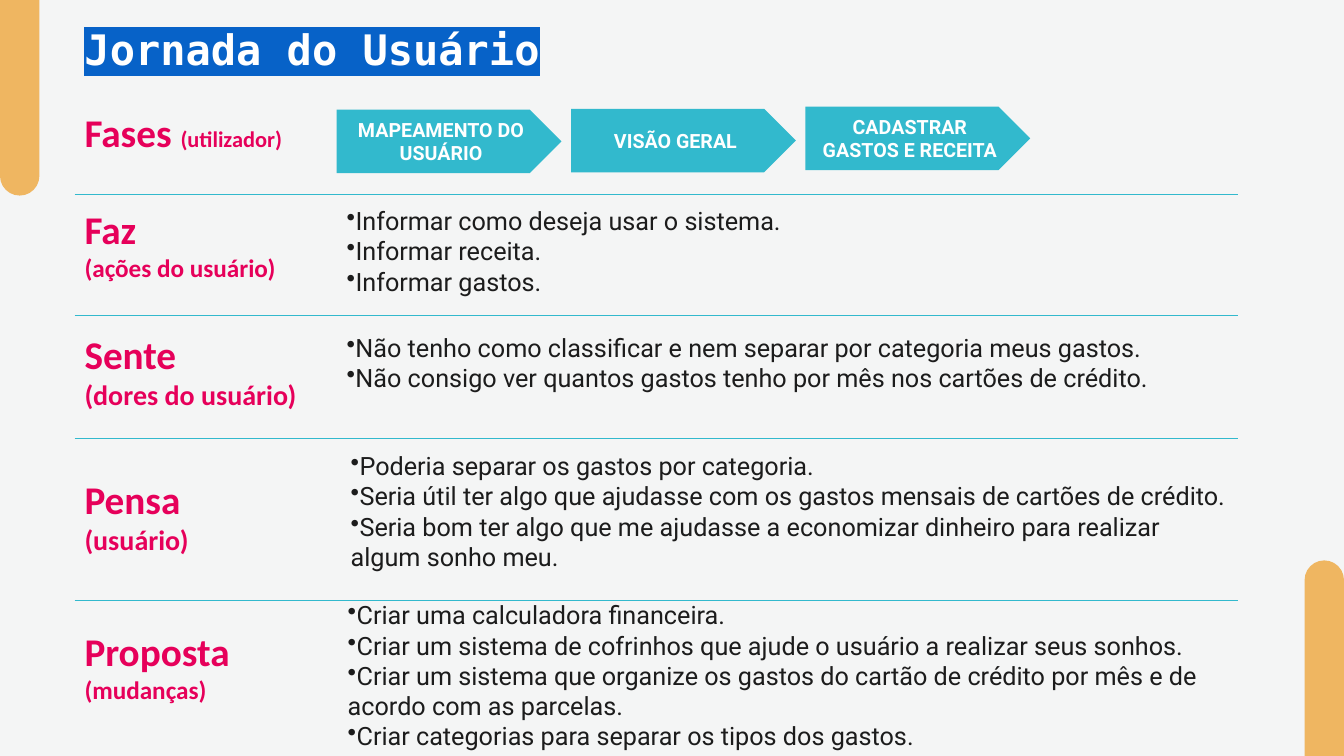
import pptx
import pptx.dml.color
import pptx.enum.shapes
import pptx.enum.text
import pptx.oxml
import pptx.oxml.ns
import pptx.util

SHAPES = pptx.enum.shapes.MSO_SHAPE
COLORS = {
    "background": "F4F5F5",
    "bar": "EFB661",
    "phase": "32B9CD",
    "label": "E6005A",
    "body": "1C1C1C",
    "white": "FFFFFF",
    "highlight": "0762C8",
}
MARGIN = 5.55
RIGHT_EDGE = 92.1
PHASE_LEFT, PHASE_PITCH = 25.05, 17.44


class JourneySlide:
    """Draws styled elements on one slide, with lengths in percent of its width and height."""

    def __init__(self, deck):
        self.deck = deck
        self.slide = deck.slides.add_slide(deck.slide_layouts[6])
        self.paint(self.slide.background.fill, "background")

    def color(self, name):
        return pptx.dml.color.RGBColor.from_string(COLORS[name])

    def paint(self, fill, name):
        fill.solid()
        fill.fore_color.rgb = self.color(name)

    def place(self, left, top, width, height):
        across, down = self.deck.slide_width / 100, self.deck.slide_height / 100
        return [round(v) for v in (left * across, top * down, width * across, height * down)]

    def element(self, tag, **attributes):
        node = pptx.oxml.parse_xml(f"<a:{tag} {pptx.oxml.ns.nsdecls('a')}/>")
        for key, value in attributes.items():
            node.set(key, value)
        return node

    def run(self, paragraph, words, size, font, color, bold=False):
        run = paragraph.add_run()
        run.text = words
        run.font.size = pptx.util.Pt(size)
        run.font.bold = bold
        run.font.name = font
        self.paint(run.font.fill, color)
        return run

    def text_frame(self, box, grow=True):
        frame = self.slide.shapes.add_textbox(*self.place(*box)).text_frame
        frame.word_wrap = True
        if grow:
            frame.auto_size = pptx.enum.text.MSO_AUTO_SIZE.SHAPE_TO_FIT_TEXT
        return frame

    def block(self, kind, box, color):
        block = self.slide.shapes.add_shape(kind, *self.place(*box))
        block.shadow.inherit = False
        block.line.fill.background()
        self.paint(block.fill, color)
        return block

    def bar(self, left, top, rotation):
        bar = self.block(SHAPES.ROUND_2_SAME_RECTANGLE, (left, top, 2.93, 25.87), "bar")
        bar.adjustments[0] = 0.5
        bar.rotation = rotation

    def title(self, words):
        paragraph = self.text_frame((MARGIN, 0.8, 86.55, 9.6), grow=False).paragraphs[0]
        paragraph.line_spacing = pptx.util.Pt(45)
        run = self.run(paragraph, words, 30, "DejaVu Sans Mono", "white", True)
        highlight = self.element("highlight")
        highlight.append(self.element("srgbClr", val=COLORS["highlight"]))
        run.font._element.find(pptx.oxml.ns.qn("a:solidFill")).addnext(highlight)

    def phase(self, left, top, words):
        phase = self.block(SHAPES.PENTAGON, (left, top, 16.73, 8.4), "phase")
        frame = phase.text_frame
        frame.word_wrap = True
        frame.vertical_anchor = pptx.enum.text.MSO_ANCHOR.MIDDLE
        frame.paragraphs[0].alignment = pptx.enum.text.PP_ALIGN.CENTER
        self.run(frame.paragraphs[0], words, 14, "Roboto", "white", True)

    def divider(self, top):
        left, y, width, _ = self.place(MARGIN, top, RIGHT_EDGE - MARGIN, 0)
        line = self.slide.shapes.add_connector(
            pptx.enum.shapes.MSO_CONNECTOR.STRAIGHT, left, y, left + width, y)
        line.line.width = pptx.util.Pt(0.5)
        self.paint(line.line.fill, "phase")
        line._element.spPr.append(self.element("effectLst"))

    def label(self, box, name, note, note_size, stacked=True):
        frame = self.text_frame(box)
        self.run(frame.paragraphs[0], name, 28, "Calibri", "label", True)
        second = frame.add_paragraph() if stacked else frame.paragraphs[0]
        self.run(second, note, note_size, "Calibri", "label", True)

    def bullets(self, box, items):
        frame = self.text_frame(box)
        for index, item in enumerate(items):
            paragraph = frame.add_paragraph() if index else frame.paragraphs[0]
            properties = paragraph._p.get_or_add_pPr()
            properties.set("marL", "0")
            properties.set("indent", "0")
            properties.append(self.element("buChar", char="•"))
            self.run(paragraph, item, 18, "Roboto", "body")


PHASES = [
    (14.5, "MAPEAMENTO DO USUÁRIO"),
    (14.4, "VISÃO GERAL"),
    (14.1, "CADASTRAR GASTOS E RECEITA"),
]
STAGES = [
    (25.73, "Faz", "(ações do usuário)", 18, (MARGIN, 26.53, 17.93, 11.73),
     (25.05, 26.53, 65.4, 17.47), [
         "Informar como deseja usar o sistema.",
         "Informar receita.",
         "Informar gastos."]),
    (41.73, "Sente", "(dores do usuário)", 20, (MARGIN, 43.07, 19.58, 12.13),
     (25.05, 43.33, 63.83, 17.47), [
         "Não tenho como classificar e nem separar por categoria meus gastos.",
         "Não consigo ver quantos gastos tenho por mês nos cartões de crédito."]),
    (58, "Pensa", "(usuário)", 20, (MARGIN, 62.27, 17.93, 12.13),
     (25.35, 58.93, 66.83, 21.6), [
         "Poderia separar os gastos por categoria.",
         "Seria útil ter algo que ajudasse com os gastos mensais de cartões de crédito.",
         "Seria bom ter algo que me ajudasse a economizar dinheiro para realizar "
         "algum sonho meu."]),
    (79.47, "Proposta", "(mudanças)", 18, (MARGIN, 82.27, 17.93, 11.73),
     (25.13, 78.67, 69.38, 25.6), [
         "Criar uma calculadora financeira.",
         "Criar um sistema de cofrinhos que ajude o usuário a realizar seus sonhos.",
         "Criar um sistema que organize os gastos do cartão de crédito por mês e de "
         "acordo com as parcelas.",
         "Criar categorias para separar os tipos dos gastos."]),
]


def main():
    deck = pptx.Presentation()
    deck.slide_width = pptx.util.Inches(13.33)
    deck.slide_height = pptx.util.Inches(7.5)
    journey = JourneySlide(deck)
    journey.bar(0, 0, 180)
    journey.bar(97.07, 74.13, 0)
    journey.title("Jornada do Usuário")
    journey.label((MARGIN, 13.73, 17.93, 11.2), "Fases ", "(utilizador)", 16, stacked=False)
    for index, (top, words) in enumerate(PHASES):
        journey.phase(PHASE_LEFT + index * PHASE_PITCH, top, words)
    for top, name, note, note_size, label_box, list_box, items in STAGES:
        journey.divider(top)
        journey.label(label_box, name, note, note_size)
        journey.bullets(list_box, items)
    deck.save("out.pptx")


if __name__ == "__main__":
    main()
